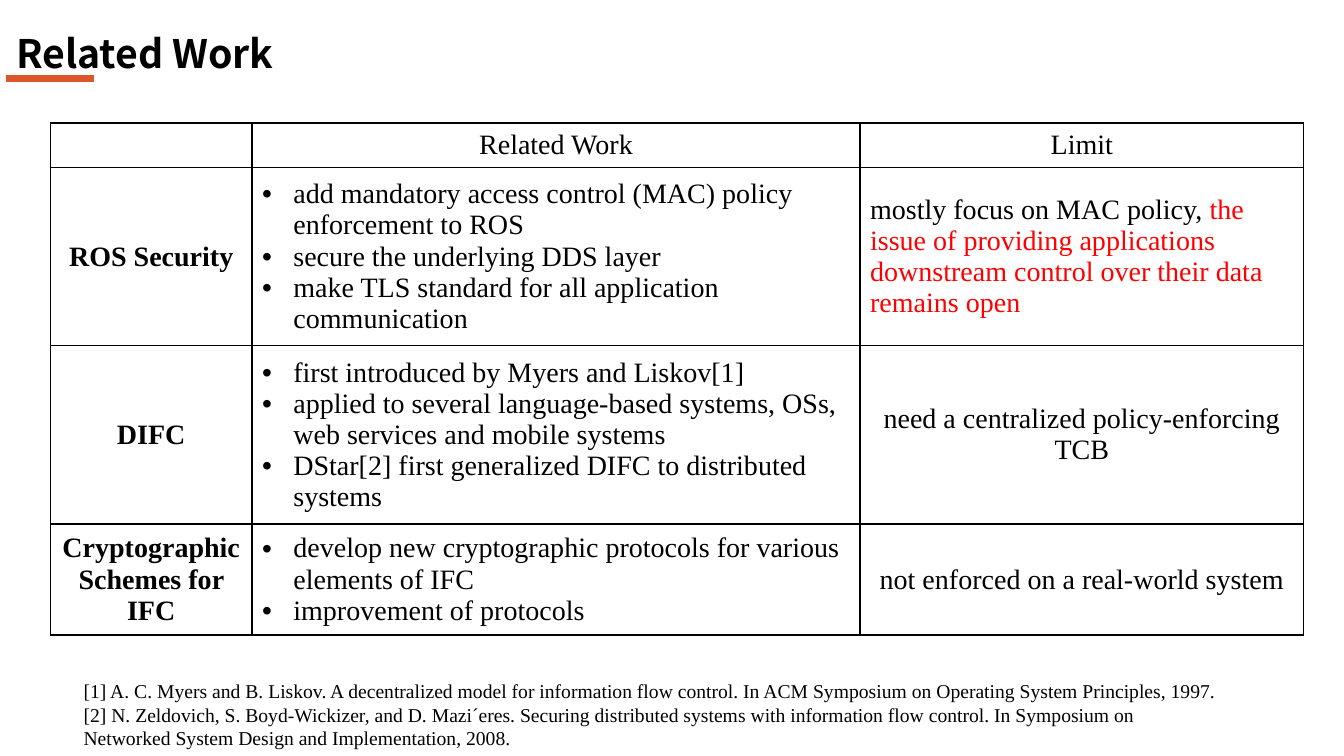
from lxml import etree
from pptx import Presentation
from pptx.dml.color import RGBColor
from pptx.enum.shapes import MSO_CONNECTOR
from pptx.enum.text import MSO_ANCHOR, MSO_AUTO_SIZE, PP_ALIGN
from pptx.oxml.ns import qn
from pptx.util import Inches, Pt

BLACK = RGBColor(0x00, 0x00, 0x00)
RED = RGBColor(0xFF, 0x00, 0x00)
ORANGE = RGBColor(0xDD, 0x56, 0x2B)
LEFT, CENTER = PP_ALIGN.LEFT, PP_ALIGN.CENTER
MIDDLE = MSO_ANCHOR.MIDDLE
STRAIGHT = MSO_CONNECTOR.STRAIGHT
NO_AUTOFIT = MSO_AUTO_SIZE.NONE
TITLE_ONLY = 5
SERIF = "Times New Roman"
SANS = "Noto Sans CJK SC"
INDENT = Inches(0.31)

TITLE_FORMAT = {"name": SANS, "size": Pt(28), "bold": True}
CELL_FORMAT = {"name": SERIF, "size": Pt(20), "bold": False}
HEADING_FORMAT = {**CELL_FORMAT, "bold": True}
REFERENCE_FORMAT = {"name": SERIF, "size": Pt(14), "bold": False}

COLUMN_WIDTHS = [2, 6.03, 4.4]
ROW_HEIGHTS = [0.44, 1.77, 1.77, 1.1]
HEADER = ["", "Related Work", "Limit"]
TOPICS = [
    ("ROS Security",
     ["add mandatory access control (MAC) policy enforcement to ROS",
      "secure the underlying DDS layer",
      "make TLS standard for all application communication"],
     "mostly focus on MAC policy, ",
     "the issue of providing applications downstream control over their data remains open"),
    ("DIFC",
     ["first introduced by Myers and Liskov[1]",
      "applied to several language-based systems, OSs, web services and mobile systems",
      "DStar[2] first generalized DIFC to distributed systems"],
     "need a centralized policy-enforcing TCB", ""),
    ("Cryptographic Schemes for IFC",
     ["develop new cryptographic protocols for various elements of IFC",
      "improvement of protocols"],
     "not enforced on a real-world system", ""),
]
REFERENCES = [
    "[1] A. C. Myers and B. Liskov. A decentralized model for information flow control. "
    "In ACM Symposium on Operating System Principles, 1997.",
    "[2] N. Zeldovich, S. Boyd-Wickizer, and D. Mazi´eres. Securing distributed systems "
    "with information flow control. In Symposium on Networked System Design and "
    "Implementation, 2008.",
]


def add_run(paragraph, text, font_format, alignment=LEFT, color=BLACK):
    paragraph.alignment = alignment
    run = paragraph.add_run()
    run.text = text
    for attribute, value in font_format.items():
        setattr(run.font, attribute, value)
    run.font.color.rgb = color


def add_lines(text_frame, lines, font_format, bulleted=False):
    for index, line in enumerate(lines):
        paragraph = text_frame.add_paragraph() if index else text_frame.paragraphs[0]
        add_run(paragraph, line, font_format)
        if bulleted:
            properties = paragraph._p.get_or_add_pPr()
            properties.set("marL", str(INDENT))
            properties.set("indent", str(-INDENT))
            etree.SubElement(properties, qn("a:buFont"), typeface="Arial")
            etree.SubElement(properties, qn("a:buChar"), char="•")


presentation = Presentation()
presentation.slide_width = Inches(13.33)
presentation.slide_height = Inches(7.5)
slide = presentation.slides.add_slide(presentation.slide_layouts[TITLE_ONLY])

title = slide.shapes.title
title.left, title.top, title.width, title.height = map(Inches, (0.06, 0.24, 4.51, 0.57))
title.text_frame.auto_size = NO_AUTOFIT
title.text_frame.vertical_anchor = MIDDLE
add_run(title.text_frame.paragraphs[0], "Related Work", TITLE_FORMAT)

underline = slide.shapes.add_connector(STRAIGHT, *map(Inches, (0.93, 0.78, 0.06, 0.78)))
underline.line.color.rgb = ORANGE
underline.line.width = Pt(5)
etree.SubElement(underline._element.spPr, qn("a:effectLst"))

table = slide.shapes.add_table(
    len(ROW_HEIGHTS), len(COLUMN_WIDTHS), Inches(0.5), Inches(1.22),
    Inches(sum(COLUMN_WIDTHS)), Inches(sum(ROW_HEIGHTS))).table
table.first_row = False
table.horz_banding = False
for column, width in zip(table.columns, COLUMN_WIDTHS):
    column.width = Inches(width)
for row, height in zip(table.rows, ROW_HEIGHTS):
    row.height = Inches(height)

for cell in table.iter_cells():
    cell.vertical_anchor = MIDDLE
    properties = cell._tc.get_or_add_tcPr()
    for side in ("a:lnL", "a:lnR", "a:lnT", "a:lnB"):
        border = etree.SubElement(properties, qn(side), w=str(Pt(1)))
        fill = etree.SubElement(border, qn("a:solidFill"))
        etree.SubElement(fill, qn("a:srgbClr"), val=str(BLACK))
    cell.fill.background()

for column_index, heading in enumerate(HEADER):
    paragraph = table.cell(0, column_index).text_frame.paragraphs[0]
    if heading:
        add_run(paragraph, heading, CELL_FORMAT, CENTER)

for row_index, (topic, works, limit, open_issue) in enumerate(TOPICS, start=1):
    topic_cell, work_cell, limit_cell = table.rows[row_index].cells
    add_run(topic_cell.text_frame.paragraphs[0], topic, HEADING_FORMAT, CENTER)
    add_lines(work_cell.text_frame, works, CELL_FORMAT, bulleted=True)
    limit_paragraph = limit_cell.text_frame.paragraphs[0]
    add_run(limit_paragraph, limit, CELL_FORMAT, LEFT if open_issue else CENTER)
    if open_issue:
        add_run(limit_paragraph, open_issue, CELL_FORMAT, color=RED)

references = slide.shapes.add_textbox(*map(Inches, (0.73, 6.69, 11.52, 0.81)))
references.text_frame.word_wrap = True
add_lines(references.text_frame, REFERENCES, REFERENCE_FORMAT)

presentation.save("out.pptx")
